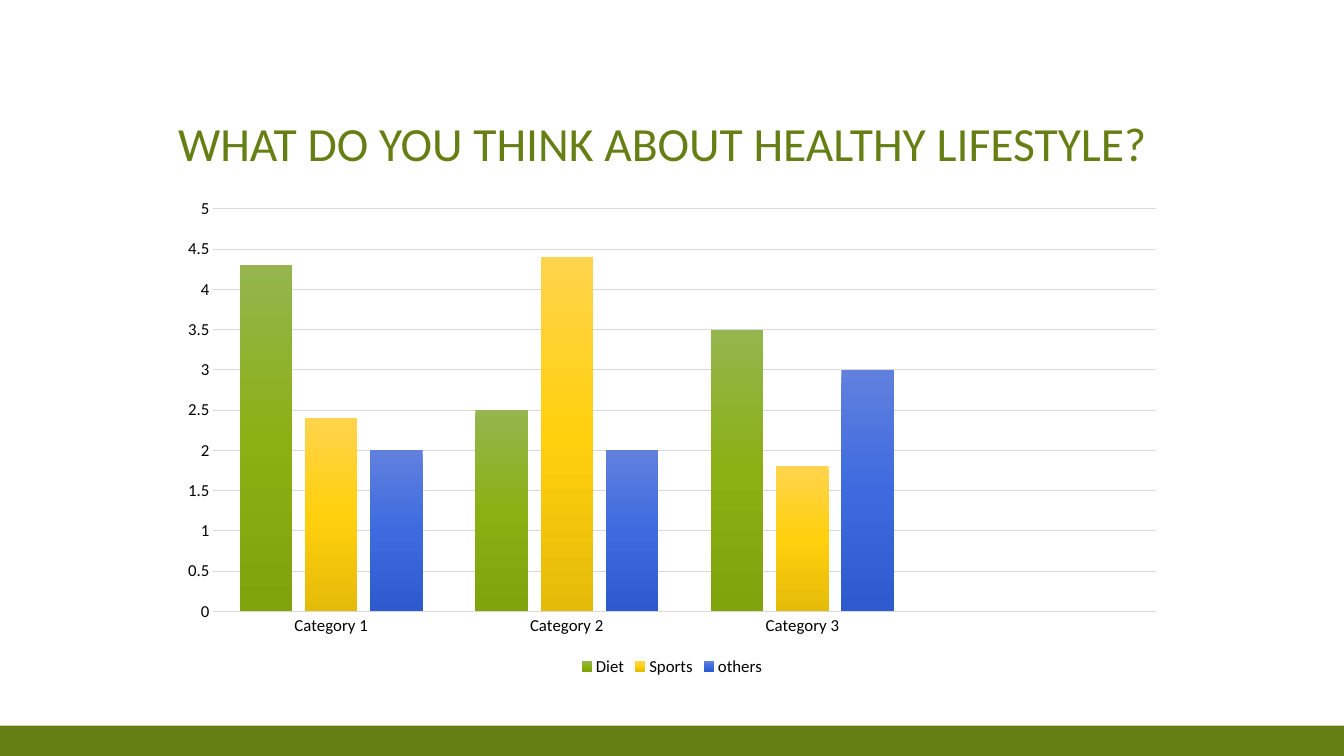
from lxml import etree
from pptx import Presentation, util as u
from pptx.chart.data import CategoryChartData
from pptx.dml.color import RGBColor
from pptx.enum import chart as ch, shapes, text
from pptx.oxml.ns import qn

OLIVE = RGBColor(0x65, 0x7F, 0x14)
BLACK = RGBColor(0, 0, 0)
GREY = RGBColor(0xD9, 0xD9, 0xD9)
GREENS = [RGBColor(0x95, 0xB5, 0x4E), RGBColor(0x8B, 0xB0, 0x14), RGBColor(0x7F, 0xA3, 0x0B)]
YELLOWS = [RGBColor(0xFF, 0xD4, 0x4C), RGBColor(0xFF, 0xD0, 0x0D), RGBColor(0xE5, 0xBB, 0x09)]
BLUES = [RGBColor(0x61, 0x80, 0xDE), RGBColor(0x3D, 0x6B, 0xDF), RGBColor(0x2D, 0x5B, 0xCF)]

CATEGORIES = ["Category 1", "Category 2", "Category 3", ""]
ANSWERS = [
    ("Diet", [4.3, 2.5, 3.5, None], GREENS),
    ("Sports", [2.4, 4.4, 1.8, None], YELLOWS),
    ("others", [2, 2, 3, None], BLUES),
]


def fill_gradient(series, colors):
    """Fill the columns from top to bottom with evenly spaced colours."""
    properties = series._element.get_or_add_spPr()
    gradient = etree.SubElement(properties, qn("a:gradFill"), rotWithShape="1")
    stops = etree.SubElement(gradient, qn("a:gsLst"))
    for index, color in enumerate(colors):
        position = 100000 * index // (len(colors) - 1)
        stop = etree.SubElement(stops, qn("a:gs"), pos=str(position))
        etree.SubElement(stop, qn("a:srgbClr"), val=str(color))
    etree.SubElement(gradient, qn("a:lin"), ang="5400000", scaled="0")


class SurveySlide:
    font_name = "Calibri"

    def __init__(self, deck):
        self.width, self.height = deck.slide_width, deck.slide_height
        self.page = deck.slides.add_slide(deck.slide_layouts[5])

    def area(self, left, top, width, height):
        """Turn shares of the slide's size into lengths."""
        return (round(left * self.width), round(top * self.height),
                round(width * self.width), round(height * self.height))

    def set_font(self, font, size, color):
        font.name, font.size = self.font_name, u.Pt(size)
        font.color.rgb = color

    def band(self, *shares):
        band = self.page.shapes.add_shape(shapes.MSO_SHAPE.RECTANGLE, *self.area(*shares))
        band.shadow.inherit = False
        band.fill.solid()
        band.fill.fore_color.rgb = OLIVE
        band.line.fill.background()

    def title(self, words, *shares):
        title = self.page.shapes.title
        title.left, title.top, title.width, title.height = self.area(*shares)
        frame = title.text_frame
        frame.text = words
        frame.word_wrap = True
        frame.auto_size = text.MSO_AUTO_SIZE.NONE
        frame.vertical_anchor = text.MSO_ANCHOR.BOTTOM
        para = frame.paragraphs[0]
        para.alignment = text.PP_ALIGN.LEFT
        para.line_spacing = 0.9
        self.set_font(para.font, 34, OLIVE)

    def column_chart(self, categories, answers, *shares):
        data = CategoryChartData()
        data.categories = categories
        for name, values, _ in answers:
            data.add_series(name, values)
        chart = self.page.shapes.add_chart(
            ch.XL_CHART_TYPE.COLUMN_CLUSTERED, *self.area(*shares), data).chart
        self.set_font(chart.font, 12, BLACK)
        chart.has_title = False

        plot = chart.plots[0]
        plot.vary_by_categories = False
        plot.gap_width, plot.overlap = 100, -24
        for series, (_, _, colors) in zip(plot.series, answers):
            fill_gradient(series, colors)

        for axis in (chart.category_axis, chart.value_axis):
            axis.major_tick_mark = axis.minor_tick_mark = ch.XL_TICK_MARK.NONE
            self.set_font(axis.tick_labels.font, 12, BLACK)
        chart.value_axis.format.line.fill.background()
        chart.value_axis.has_major_gridlines = True
        for line in (chart.category_axis.format.line,
                     chart.value_axis.major_gridlines.format.line):
            line.color.rgb = GREY
            line.width = u.Pt(0.75)

        chart.has_legend = True
        chart.legend.position = ch.XL_LEGEND_POSITION.BOTTOM
        chart.legend.include_in_layout = False
        self.set_font(chart.legend.font, 12, BLACK)


def main():
    deck = Presentation()
    deck.slide_width, deck.slide_height = u.Inches(13.33), u.Inches(7.5)
    survey = SurveySlide(deck)
    survey.band(0, 0.96, 1, 0.04)
    survey.title("WHAT DO YOU THINK ABOUT HEALTHY LIFESTYLE?", 1 / 8, 1 / 15, 3 / 4, 1 / 6)
    survey.column_chart(CATEGORIES, ANSWERS, 1 / 8, 0.25, 3 / 4, 0.65)
    deck.save("out.pptx")


if __name__ == "__main__":
    main()
